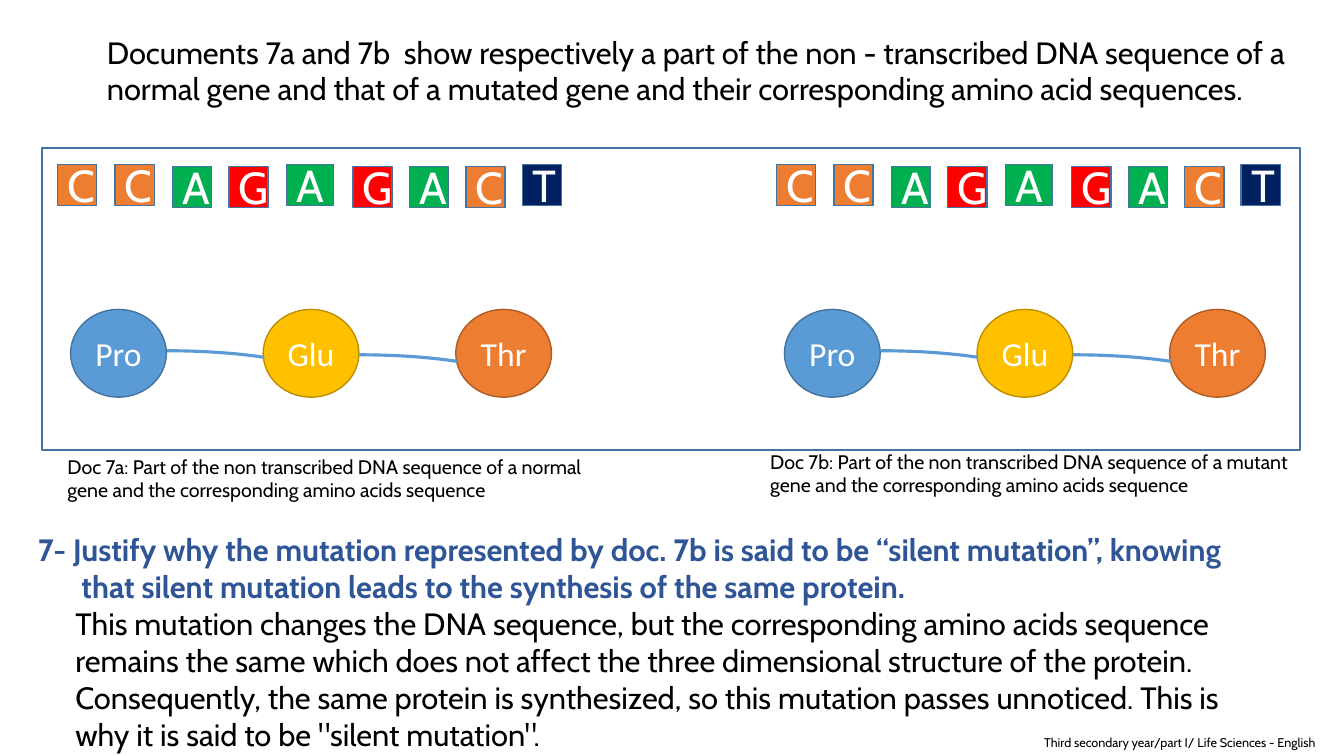
from pptx import Presentation
from pptx.dml.color import RGBColor
from pptx.enum.shapes import MSO_SHAPE
from pptx.enum.text import MSO_ANCHOR, MSO_AUTO_SIZE, PP_ALIGN
from pptx.util import Inches, Pt

RECT, OVAL, ARC = MSO_SHAPE.RECTANGLE, MSO_SHAPE.OVAL, MSO_SHAPE.ARC
LEFT, MID, RIGHT = PP_ALIGN.LEFT, PP_ALIGN.CENTER, PP_ALIGN.RIGHT
TOP, CORE = MSO_ANCHOR.TOP, MSO_ANCHOR.MIDDLE
GROW = MSO_AUTO_SIZE.SHAPE_TO_FIT_TEXT

HUES = {
    "white": "FFFFFF", "black": "000000", "ink": "2F5597",
    "edge": "43739E", "blue": "5B9BD5", "gold": "FFC000",
    "rust": "ED7D31", "green": "00B050", "red": "FF0000", "navy": "002060",
    "gold edge": "BD8E00", "rust edge": "AF5C24",
}
BASES = {"C": "rust", "A": "green", "G": "red", "T": "navy"}
# Base, left, top of each tile
STRAND = [
    ("C", 0.57, 1.63), ("C", 1.14, 1.63), ("A", 1.71, 1.65),
    ("G", 2.27, 1.65), ("A", 2.84, 1.63), ("G", 3.5, 1.65),
    ("A", 4.06, 1.65), ("C", 4.62, 1.65), ("T", 5.18, 1.63),
]
WIDE = 4      # index of the one broad tile
ACIDS = [("Pro", "blue", "edge"), ("Glu", "gold", "gold edge"),
         ("Thr", "rust", "rust edge")]
STEP = 1.91   # from one amino acid to the next


def hue(name):
    return RGBColor.from_string(HUES[name])


def write(para, text, size, color="black", font="Cabin", bold=False, align=LEFT):
    para.alignment = align
    run = para.add_run()
    run.text = text
    run.font.size = Pt(size)
    run.font.name = font
    run.font.bold = bold
    run.font.color.rgb = hue(color)


def indent(para, left, first):
    props = para._p.get_or_add_pPr()
    props.set("marL", str(Inches(left)))
    props.set("indent", str(Inches(first)))


def place(shape, left, top, width, height):
    shape.left, shape.top = Inches(left), Inches(top)
    shape.width, shape.height = Inches(width), Inches(height)


def draw(slide, kind, box, fill, line, weight):
    """Add a preset shape; a fill of None leaves it see-through."""
    shape = slide.shapes.add_shape(kind, *map(Inches, box))
    shape.shadow.inherit = False
    if fill:
        shape.fill.solid()
        shape.fill.fore_color.rgb = hue(fill)
    else:
        shape.fill.background()
    shape.line.color.rgb = hue(line)
    shape.line.width = Pt(weight)
    return shape


def label(slide, box, text, size, align=LEFT):
    frame = slide.shapes.add_textbox(*map(Inches, box)).text_frame
    frame.word_wrap = True
    frame.auto_size = GROW
    write(frame.paragraphs[0], text, size, align=align)
    return frame


def head(slide, text):
    title = slide.shapes.title
    place(title, 0.96, 0.28, 11.93, 0.84)
    frame = title.text_frame
    frame.word_wrap = True
    frame.auto_size = GROW
    frame.vertical_anchor = TOP
    write(frame.paragraphs[0], text, 22)


def strand(slide, shift):
    for i, (base, left, top) in enumerate(STRAND):
        width = 0.47 if i == WIDE else 0.39
        tile = draw(slide, RECT, (left + shift, top, width, 0.41),
                    BASES[base], "edge", 1)
        tile._element.spPr.xfrm.set("flipH", "1")
        tile.text_frame.vertical_anchor = CORE
        write(tile.text_frame.paragraphs[0], base, 32, "white", align=MID)


def chain(slide, start):
    """Draw the amino acids in a row, then the bonds between them."""
    for i, (acid, fill, edge) in enumerate(ACIDS):
        ball = draw(slide, OVAL, (start + i * STEP, 3.07, 0.95, 0.87),
                    fill, edge, 1)
        frame = ball.text_frame
        frame.vertical_anchor = CORE
        write(frame.paragraphs[0], acid, 24, "white", "Calibri", align=MID)
    for i in range(len(ACIDS) - 1):
        box = (start - 0.71 + i * STEP, 3.48 + i * 0.04, 3.33, 0.7)
        bond = draw(slide, ARC, box, None, "blue", 2.25)
        bond.adjustments[0] = 162
        bond.adjustments[1] = 206.14


def answer(slide, ask, reply):
    box = draw(slide, RECT, (0.28, 5.22, 12.42, 2.32), None, "white", 0.75)
    frame = box.text_frame
    frame.word_wrap = True
    frame.auto_size = GROW
    frame.vertical_anchor = TOP
    first = frame.paragraphs[0]
    indent(first, 0.43, -0.43)
    write(first, ask, 22, "ink", bold=True)
    second = frame.add_paragraph()
    indent(second, 0.37, 0)
    write(second, reply, 22)


def main():
    deck = Presentation()
    deck.slide_width, deck.slide_height = Inches(13.33), Inches(7.5)
    slide = deck.slides.add_slide(deck.slide_layouts[5])

    head(slide, "Documents 7a and 7b  show respectively a part of the non - "
                "transcribed DNA sequence of a normal gene and that of a "
                "mutated gene and their corresponding amino acid sequences.")
    draw(slide, RECT, (0.42, 1.47, 12.47, 2.99), None, "edge", 1.5)
    for shift in (0, 7.13):
        strand(slide, shift)
    for start in (0.7, 7.78):
        chain(slide, start)
    for left, top, doc, gene in ((0.57, 4.46, "7a", "normal"),
                                 (7.54, 4.41, "7b", "mutant")):
        label(slide, (left, top, 5.34, 0.57),
              f"Doc {doc}: Part of the non transcribed DNA sequence of a {gene} "
              "gene and the corresponding amino acids sequence", 14)
    answer(slide,
           "7- Justify why the mutation represented by doc. 7b is said to be "
           "“silent mutation”, knowing that silent mutation leads to the "
           "synthesis of the same protein.",
           "This mutation changes the DNA sequence, but the corresponding amino "
           "acids sequence remains the same which does not affect the three "
           "dimensional structure of the protein. Consequently, the same protein "
           "is synthesized, so this mutation passes unnoticed. This is why it is "
           'said to be "silent mutation".')
    foot = label(slide, (3.3, 7.26, 9.87, 0.24),
                 "Third secondary year/part I/ Life Sciences - English ", 9, RIGHT)
    foot.paragraphs[0].line_spacing = 0.9
    deck.save("out.pptx")


if __name__ == "__main__":
    main()
